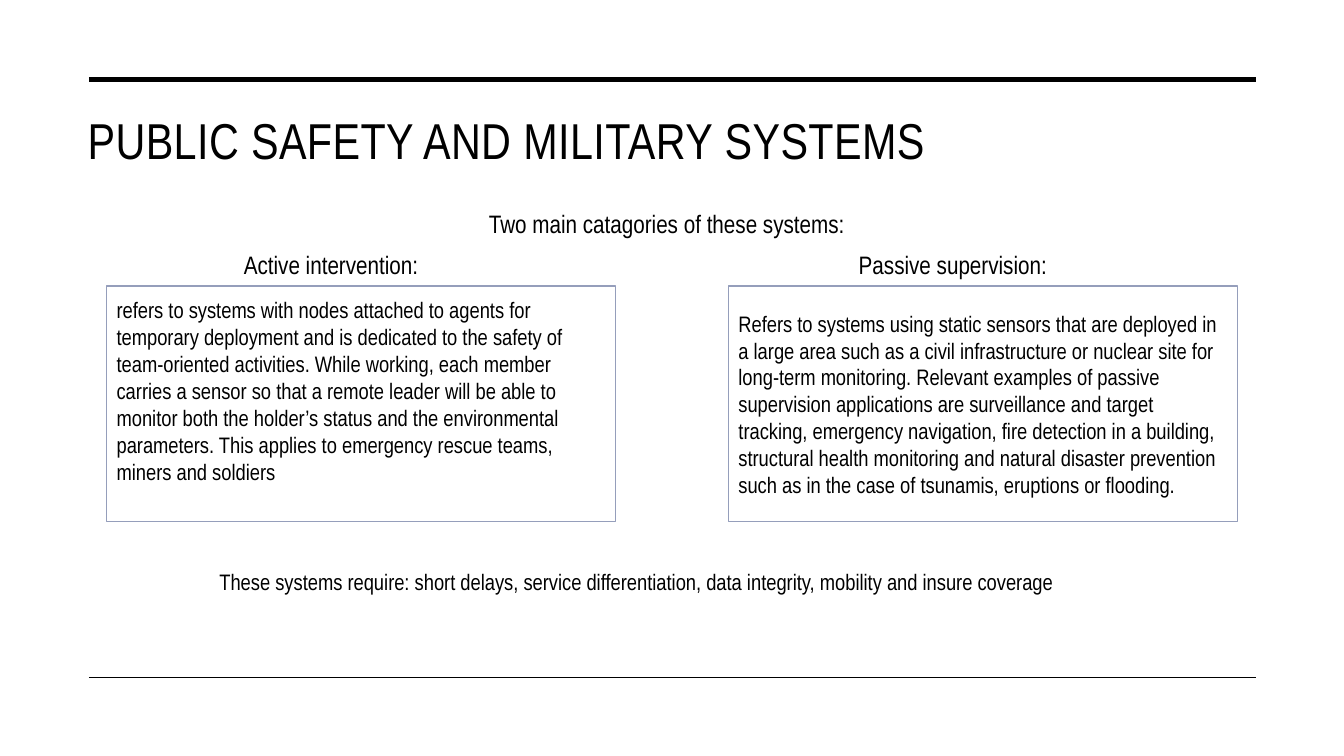
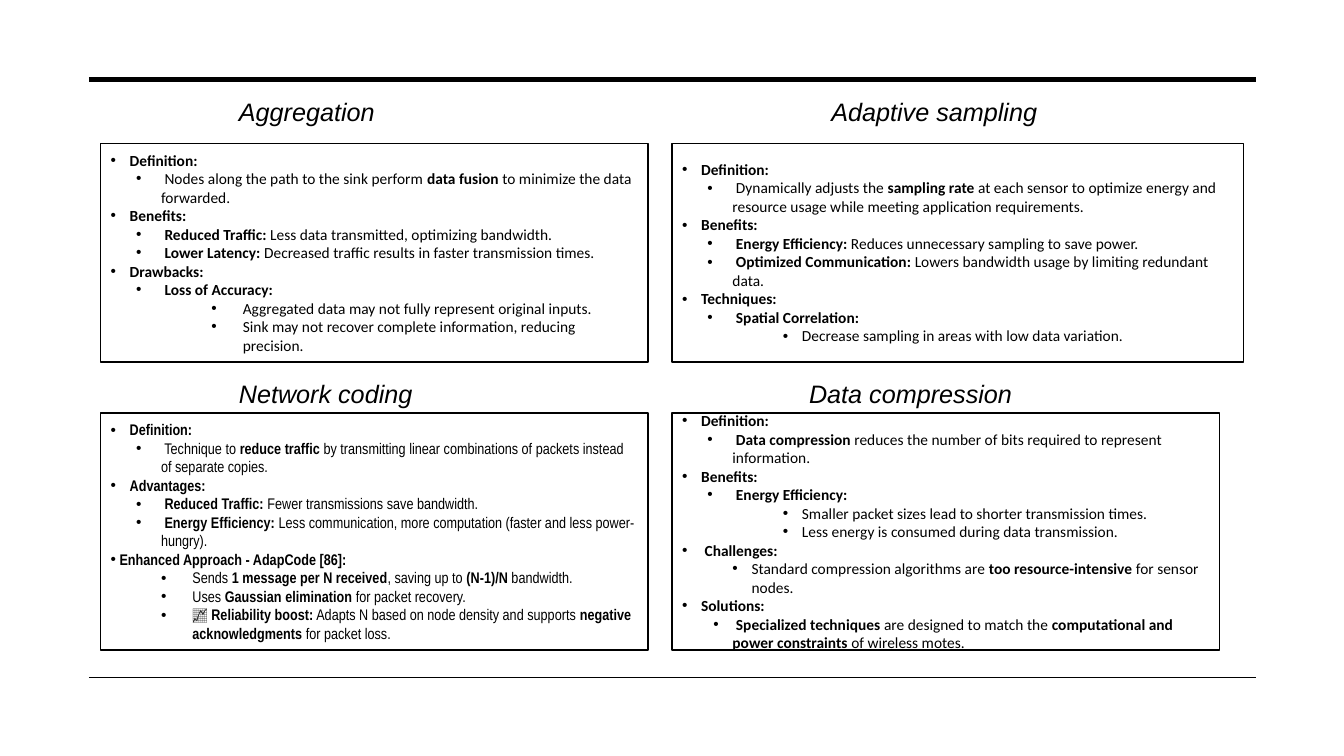
from dataclasses import dataclass
from enum import Enum

from lxml.etree import SubElement
from pptx import Presentation
from pptx.dml.color import RGBColor
from pptx.enum.shapes import MSO_CONNECTOR as Connector, MSO_SHAPE as Shape
from pptx.enum.text import MSO_ANCHOR as Anchor, PP_ALIGN as Align
from pptx.oxml.ns import qn
from pptx.util import Cm, Pt

BLACK, WHITE, BLUE_GREY = "000000", "FFFFFF", "959EBB"
NARROW, SANS, BODY = "Arial Narrow", "Arial", "Calibri"
RULE_LEFT, RULE_RIGHT = 2.24, 31.65
TITLE_LEFT, TITLE_WIDTH = 1.96, 29.69


@dataclass(frozen=True)
class Box:
    """Position and size in centimetres."""
    left: float
    top: float
    width: float
    height: float

    def lengths(self):
        return Cm(self.left), Cm(self.top), Cm(self.width), Cm(self.height)


@dataclass(frozen=True)
class Font:
    name: str
    size: float
    italic: bool = False


class Bullet(Enum):
    """Level, left margin and hanging indent (cm) of a list paragraph."""
    HEAD = (0, 0.48, 0.48)
    FLUSH = (0, 0, 0)
    SUB = (1, 1.27, 0.63)
    SUB_TIGHT = (1, 1.27, 0.48)
    SUB_DEEP = (1, 1.75, 0.48)
    SUB_WIDE = (1, 2.06, 0.79)
    DETAIL = (2, 3.02, 0.48)
    DETAIL_WIDE = (2, 3.33, 0.79)


@dataclass(frozen=True)
class Item:
    """List paragraph; text between double asterisks is bold."""
    bullet: Bullet
    text: str


@dataclass(frozen=True)
class Category:
    heading: str
    heading_left: float
    panel_left: float
    text: str
    bottom_inset: float


@dataclass(frozen=True)
class Technique:
    heading: str
    heading_box: Box
    panel: Box
    font: Font
    items: tuple[Item, ...]


def rgb(color: str) -> RGBColor:
    return RGBColor.from_string(color)


def add_runs(p, text: str, font: Font) -> None:
    for i, part in enumerate(text.split("**")):
        if part:
            r = p.add_run()
            r.text = part
            r.font.name, r.font.size = font.name, Pt(font.size)
            r.font.bold, r.font.italic = i % 2 == 1, font.italic
            r.font.color.rgb = rgb(BLACK)


def add_rule(s, top: float, weight: float) -> None:
    line = s.shapes.add_connector(Connector.STRAIGHT, Cm(RULE_LEFT), Cm(top),
                                  Cm(RULE_RIGHT), Cm(top))
    line.line.color.rgb = rgb(BLACK)
    line.line.width = Pt(weight)
    SubElement(line._element.spPr, qn("a:effectLst"))


def add_base_slide(prs):
    """Add a blank slide with the shared top and bottom rules."""
    s = prs.slides.add_slide(prs.slide_layouts[6])
    add_rule(s, 2.01, 3.5)
    add_rule(s, 17.07, 1)
    return s


def add_text(s, box: Box, text: str, font: Font, align=Align.LEFT):
    tf = s.shapes.add_textbox(*box.lengths()).text_frame
    tf.word_wrap = True
    p = tf.paragraphs[0]
    p.alignment = align
    add_runs(p, text, font)
    return tf


def add_title(s, text: str) -> None:
    tf = add_text(s, Box(TITLE_LEFT, 2.54, TITLE_WIDTH, 3.63), text, Font(NARROW, 36))
    tf.margin_top = Cm(0.2)
    for r in tf.paragraphs[0].runs:
        r.font._element.set("spc", "30")


def add_panel(s, box: Box, outline: str):
    """Add a white outlined rectangle and return its text frame."""
    sp = s.shapes.add_shape(Shape.RECTANGLE, *box.lengths())
    sp.shadow.inherit = False
    sp.fill.solid()
    sp.fill.fore_color.rgb = rgb(WHITE)
    sp.line.color.rgb = rgb(outline)
    sp.line.width = Pt(1)
    tf = sp.text_frame
    tf.word_wrap = True
    tf.vertical_anchor = Anchor.MIDDLE
    tf.paragraphs[0].alignment = Align.LEFT
    return tf


def set_bullet(p, bullet: Bullet) -> None:
    level, margin, hanging = bullet.value
    p.level = level
    pPr = p._p.get_or_add_pPr()
    pPr.set("marL", str(Cm(margin)))
    pPr.set("indent", str(-Cm(hanging)))
    SubElement(pPr, qn("a:buFont")).set("typeface", SANS)
    SubElement(pPr, qn("a:buChar")).set("char", "•")


def add_list(tf, items: tuple[Item, ...], font: Font) -> None:
    for i, item in enumerate(items):
        p = tf.add_paragraph() if i else tf.paragraphs[0]
        p.alignment = Align.LEFT
        set_bullet(p, item.bullet)
        add_runs(p, item.text, font)


CATEGORIES = (
    Category(
        "Active intervention:", 3.76, 2.69,
        "refers to systems with nodes attached to agents for temporary deployment "
        "and is dedicated to the safety of team-oriented activities. While working, "
        "each member carries a sensor so that a remote leader will be able to monitor "
        "both the holder’s status and the environmental parameters. This applies to "
        "emergency rescue teams, miners and soldiers", 0.8),
    Category(
        "Passive supervision:", 19.43, 18.36,
        "Refers to systems using static sensors that are deployed in a large area "
        "such as a civil infrastructure or nuclear site for long-term monitoring. "
        "Relevant examples of passive supervision applications are surveillance and "
        "target tracking, emergency navigation, fire detection in a building, "
        "structural health monitoring and natural disaster prevention such as in the "
        "case of tsunamis, eruptions or flooding.", 0.13),
)

LEFT, RIGHT = 2.54, 16.94
UPPER, LOWER = 3.61, 10.41
UPPER_HEIGHT, LOWER_HEIGHT = 5.51, 5.97
PANEL_WIDTH = 13.79
UPPER_HEADING, LOWER_HEADING = 2.31, 9.4
HEADING_WIDTH, HEADING_HEIGHT = 7.62, 1.02
CALIBRI_LIST, NARROW_LIST = Font(BODY, 11), Font(NARROW, 11)

TECHNIQUES = (
    Technique(
        "Aggregation",
        Box(5.77, UPPER_HEADING, HEADING_WIDTH, HEADING_HEIGHT),
        Box(LEFT, UPPER, PANEL_WIDTH, UPPER_HEIGHT), CALIBRI_LIST, (
            Item(Bullet.HEAD, "**Definition:**"),
            Item(Bullet.SUB, " Nodes along the path to the sink perform **data fusion** "
                             "to minimize the data forwarded."),
            Item(Bullet.HEAD, "**Benefits:**"),
            Item(Bullet.SUB, "** Reduced Traffic:** Less data transmitted, "
                             "optimizing bandwidth."),
            Item(Bullet.SUB, "** Lower Latency:** Decreased traffic results in faster "
                             "transmission times."),
            Item(Bullet.HEAD, "**Drawbacks:**"),
            Item(Bullet.SUB, "** Loss of Accuracy:**"),
            Item(Bullet.DETAIL_WIDE, "Aggregated data may not fully represent "
                                     "original inputs."),
            Item(Bullet.DETAIL_WIDE, "Sink may not recover complete information, "
                                     "reducing precision."),
        )),
    Technique(
        "Adaptive sampling",
        Box(20.7, UPPER_HEADING, 6.86, HEADING_HEIGHT),
        Box(RIGHT, UPPER, 14.4, UPPER_HEIGHT), CALIBRI_LIST, (
            Item(Bullet.HEAD, "**Definition:**"),
            Item(Bullet.SUB, " Dynamically adjusts the **sampling rate** at each sensor "
                             "to optimize energy and resource usage while meeting "
                             "application requirements."),
            Item(Bullet.HEAD, "**Benefits:**"),
            Item(Bullet.SUB, "** Energy Efficiency:** Reduces unnecessary sampling "
                             "to save power."),
            Item(Bullet.SUB, "** Optimized Communication:** Lowers bandwidth usage by "
                             "limiting redundant data."),
            Item(Bullet.HEAD, "**Techniques:**"),
            Item(Bullet.SUB, "** Spatial Correlation:**"),
            Item(Bullet.DETAIL, "Decrease sampling in areas with low data variation."),
        )),
    Technique(
        "Network coding",
        Box(5.77, LOWER_HEADING, HEADING_WIDTH, HEADING_HEIGHT),
        Box(LEFT, LOWER, PANEL_WIDTH, LOWER_HEIGHT), NARROW_LIST, (
            Item(Bullet.HEAD, "**Definition:**"),
            Item(Bullet.SUB, " Technique to **reduce traffic** by transmitting linear "
                             "combinations of packets instead of separate copies."),
            Item(Bullet.HEAD, "**Advantages:**"),
            Item(Bullet.SUB, "** Reduced Traffic:** Fewer transmissions save bandwidth."),
            Item(Bullet.SUB, "** Energy Efficiency:** Less communication, more "
                             "computation (faster and less power-hungry)."),
            Item(Bullet.FLUSH, "** Enhanced Approach - AdapCode [86]:**"),
            Item(Bullet.SUB_WIDE, "Sends **1 message per N received**, saving up to "
                                  "**(N-1)/N** bandwidth."),
            Item(Bullet.SUB_WIDE, "Uses **Gaussian elimination** for packet recovery."),
            Item(Bullet.SUB_WIDE, "📈 **Reliability boost:** Adapts N based on node "
                                  "density and supports **negative acknowledgments** "
                                  "for packet loss."),
        )),
    Technique(
        "Data compression",
        Box(20.14, LOWER_HEADING, HEADING_WIDTH, HEADING_HEIGHT),
        Box(RIGHT, LOWER, PANEL_WIDTH, LOWER_HEIGHT), CALIBRI_LIST, (
            Item(Bullet.HEAD, "**Definition:**"),
            Item(Bullet.SUB, "** Data compression** reduces the number of bits required "
                             "to represent information."),
            Item(Bullet.HEAD, "**Benefits:**"),
            Item(Bullet.SUB, "** Energy Efficiency:**"),
            Item(Bullet.DETAIL, "Smaller packet sizes lead to shorter transmission "
                                "times."),
            Item(Bullet.DETAIL, "Less energy is consumed during data transmission."),
            Item(Bullet.HEAD, "** Challenges:**"),
            Item(Bullet.SUB_DEEP, "Standard compression algorithms are "
                                  "**too resource-intensive** for sensor nodes."),
            Item(Bullet.HEAD, "**Solutions:**"),
            Item(Bullet.SUB_TIGHT, "** Specialized techniques** are designed to match the "
                                   "**computational and power constraints** of wireless "
                                   "motes."),
        )),
)


def build_safety_slide(prs) -> None:
    s = add_base_slide(prs)
    label, body = Font(NARROW, 18), Font(NARROW, 16)
    add_title(s, "PUBLIC SAFETY AND MILITARY SYSTEMS")
    add_text(s, Box(TITLE_LEFT, 5.13, TITLE_WIDTH, 1.04),
             "Two main catagories of these systems:", label, Align.CENTER)
    for c in CATEGORIES:
        tf = add_panel(s, Box(c.panel_left, 7.21, 12.83, 5.94), BLUE_GREY)
        tf.margin_bottom = Cm(c.bottom_inset)
        add_runs(tf.paragraphs[0], c.text, body)
        add_text(s, Box(c.heading_left, 6.17, 9.17, 1.02), c.heading, label, Align.CENTER)
    add_text(s, Box(5.28, 14.2, 24.99, 0.94),
             "These systems require: short delays, service differentiation, "
             "data integrity, mobility and insure coverage", body)


def build_techniques_slide(prs) -> None:
    s = add_base_slide(prs)
    for t in TECHNIQUES:
        add_list(add_panel(s, t.panel, BLACK), t.items, t.font)
        add_text(s, t.heading_box, t.heading, Font(SANS, 18, italic=True))


def main() -> None:
    prs = Presentation()
    prs.slide_width, prs.slide_height = Cm(33.87), Cm(19.05)
    build_safety_slide(prs)
    build_techniques_slide(prs)
    prs.save("out.pptx")


if __name__ == "__main__":
    main()
